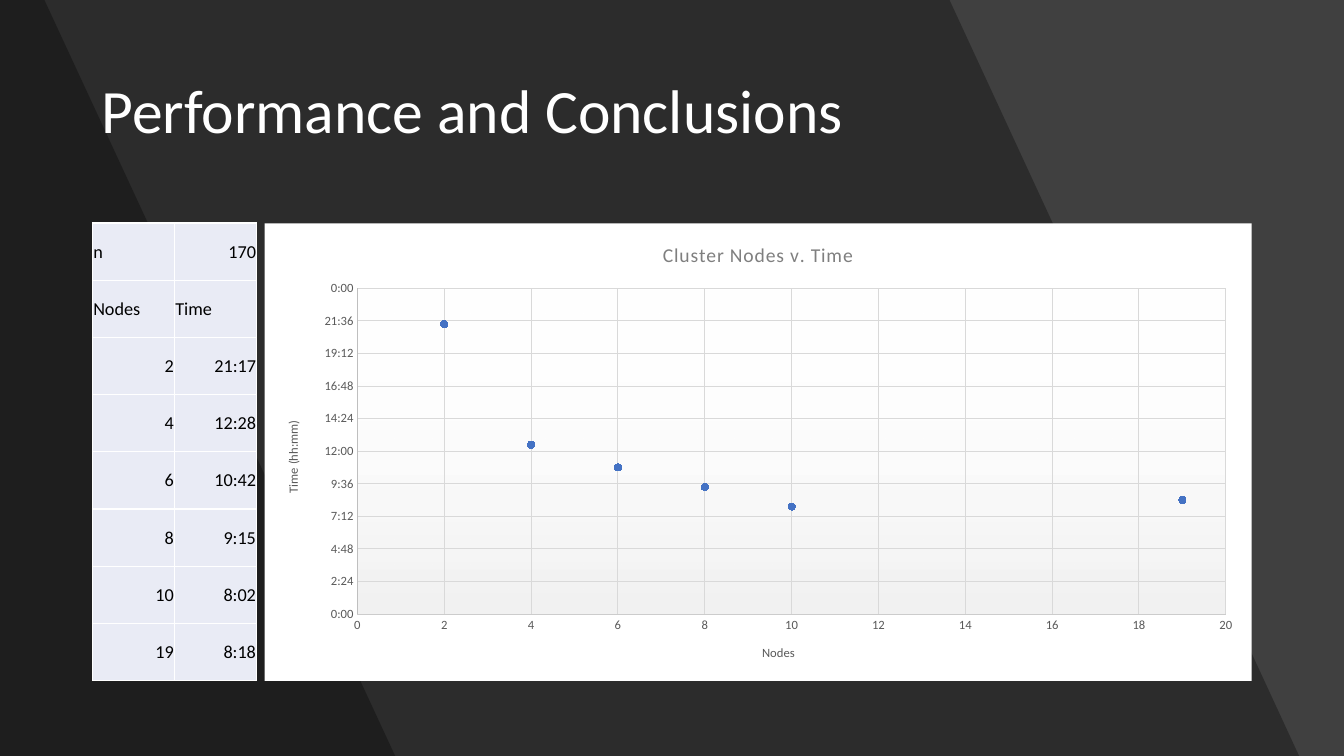
from dataclasses import dataclass

from lxml.etree import SubElement
from pptx import Presentation
from pptx.chart.axis import ValueAxis
from pptx.chart.chart import Chart
from pptx.chart.data import XyChartData
from pptx.dml.color import RGBColor
from pptx.dml.fill import FillFormat
from pptx.enum.chart import XL_CHART_TYPE as ChartType, XL_MARKER_STYLE as MarkerStyle
from pptx.enum.chart import XL_TICK_MARK as TickMark
from pptx.enum.text import MSO_ANCHOR as Anchor, PP_ALIGN as Align
from pptx.oxml import parse_xml
from pptx.oxml.ns import nsdecls, qn
from pptx.slide import Slide
from pptx.text.text import TextFrame
from pptx.util import Cm, Pt

FONT = "Calibri"
WHITE, BLACK, AXIS_GREY, GRID_GREY = "FFFFFF", "000000", "595959", "D9D9D9"
SLIDE_WIDTH, SLIDE_HEIGHT = 33.87, 19.05
CONTENT_TOP, CONTENT_HEIGHT = 5.62, 11.53


@dataclass(frozen=True)
class Band:
    """A dark panel from the left edge to a slanted right edge, in cm."""
    top_right: float
    bottom_right: float


@dataclass(frozen=True)
class Run:
    nodes: int
    time: str

    @property
    def day_fraction(self) -> float:
        hours, minutes = map(int, self.time.split(":"))
        return round((hours * 60 + minutes) / 1440, 2)


@dataclass(frozen=True)
class AxisStyle:
    title: str
    maximum: float
    step: float
    number_format: str
    line: str


BANDS = [Band(23.93, 32.74), Band(1.12, 9.96)]
RUNS = [Run(2, "21:17"), Run(4, "12:28"), Run(6, "10:42"),
        Run(8, "9:15"), Run(10, "8:02"), Run(19, "8:18")]
NODES_AXIS = AxisStyle("Nodes", 20, 2, "General", "CCCCCC")
TIME_AXIS = AxisStyle("Time (hh:mm)", 1, 0.1, "h:mm", "BFBFBF")


def rgb(color: str) -> RGBColor:
    return RGBColor.from_string(color)


def set_fill(fill: FillFormat, color: str) -> None:
    fill.solid()
    fill.fore_color.rgb = rgb(color)


def write_text(frame: TextFrame, text: str, *, size: float, color: str,
               alignment: Align | None = None, line_spacing: float | None = None,
               letter_spacing: float = 0) -> None:
    frame.text = text
    paragraph = frame.paragraphs[0]
    paragraph.alignment = alignment
    paragraph.line_spacing = line_spacing
    run = paragraph.runs[0]
    font = run.font
    font.name, font.size, font.bold = FONT, Pt(size), False
    font.color.rgb = rgb(color)
    if letter_spacing:
        run._r.get_or_add_rPr().set("spc", str(round(letter_spacing * 100)))


def add_band(slide: Slide, band: Band) -> None:
    builder = slide.shapes.build_freeform(0, 0)
    corners = [(band.top_right, 0), (band.bottom_right, SLIDE_HEIGHT), (0, SLIDE_HEIGHT)]
    builder.add_line_segments([(Cm(x), Cm(y)) for x, y in corners], close=True)
    shape = builder.convert_to_shape()
    shape.shadow.inherit = False
    shape.line.fill.background()
    set_fill(shape.fill, BLACK)
    color = shape.element.spPr.find(f".//{qn('a:srgbClr')}")
    SubElement(color, qn("a:alpha"), val="30000")


def add_title(slide: Slide, text: str) -> None:
    """Format the title placeholder and bring it in front of the bands."""
    title = slide.shapes.title
    title.left, title.top, title.width, title.height = Cm(2.31), Cm(1.02), Cm(29.23), Cm(3.68)
    frame = title.text_frame
    frame.vertical_anchor, frame.word_wrap = Anchor.MIDDLE, True
    write_text(frame, text, size=44, color=WHITE, alignment=Align.LEFT, line_spacing=0.9)
    slide.shapes.element.append(title.element)


def add_times_table(slide: Slide) -> None:
    rows = [("n", "170"), ("Nodes", "Time"), *((str(run.nodes), run.time) for run in RUNS)]
    table = slide.shapes.add_table(len(rows), 2, Cm(2.33), Cm(CONTENT_TOP),
                                   Cm(4.14), Cm(CONTENT_HEIGHT)).table
    table.first_row = table.horz_banding = False
    for row_index, row in enumerate(rows):
        for column_index, text in enumerate(row):
            cell = table.cell(row_index, column_index)
            cell.margin_left = cell.margin_right = cell.margin_top = Cm(0.02)
            cell.margin_bottom = 0
            cell.vertical_anchor = Anchor.MIDDLE
            write_text(cell.text_frame, text, size=13, color=BLACK,
                       alignment=Align.LEFT if text.isalpha() else Align.RIGHT)
            properties = cell._tc.get_or_add_tcPr()
            for side in ("lnL", "lnR", "lnT", "lnB"):
                properties.append(parse_xml(
                    f'<a:{side} {nsdecls("a")} w="12700"><a:solidFill>'
                    f'<a:srgbClr val="{WHITE}"/></a:solidFill></a:{side}>'))
            set_fill(cell.fill, "E9EBF5")


def format_axis(axis: ValueAxis, style: AxisStyle) -> None:
    axis.minimum_scale, axis.maximum_scale, axis.major_unit = 0, style.maximum, style.step
    axis.major_tick_mark = axis.minor_tick_mark = TickMark.NONE
    axis.has_major_gridlines = True
    for line, color in ((axis.format.line, style.line),
                        (axis.major_gridlines.format.line, GRID_GREY)):
        line.width = Pt(0.75)
        set_fill(line.fill, color)
    labels = axis.tick_labels
    labels.number_format, labels.number_format_is_linked = style.number_format, False
    labels.font.name, labels.font.size = FONT, Pt(9)
    labels.font.color.rgb = rgb(AXIS_GREY)
    write_text(axis.axis_title.text_frame, style.title, size=9, color=AXIS_GREY)


def format_backgrounds(chart: Chart) -> None:
    """Fix the plot area and give it a gradient on a white chart."""
    chart_space = chart.element
    chart_space.find(qn("c:chart")).addnext(parse_xml(
        f'<c:spPr {nsdecls("c", "a")}><a:solidFill><a:srgbClr val="{WHITE}"/></a:solidFill>'
        '<a:ln><a:noFill/></a:ln></c:spPr>'))
    plot_area = chart_space.find(f".//{qn('c:plotArea')}")
    plot_area.append(parse_xml(
        f'<c:spPr {nsdecls("c", "a")}><a:gradFill><a:gsLst>'
        f'<a:gs pos="0"><a:srgbClr val="{WHITE}"><a:alpha val="0"/></a:srgbClr></a:gs>'
        '<a:gs pos="100000"><a:srgbClr val="F2F2F2"/></a:gs>'
        '</a:gsLst><a:lin ang="5400000" scaled="0"/></a:gradFill></c:spPr>'))
    for layout in plot_area.findall(qn("c:layout")):
        plot_area.remove(layout)
    layout = parse_xml(
        f'<c:layout {nsdecls("c")}><c:manualLayout><c:layoutTarget val="inner"/>'
        '<c:xMode val="edge"/><c:yMode val="edge"/></c:manualLayout></c:layout>')
    for key, value in {"x": 0.094, "y": 0.142, "w": 0.88, "h": 0.712}.items():
        SubElement(layout[0], qn(f"c:{key}"), val=str(value))
    plot_area.insert(0, layout)


def add_times_chart(slide: Slide) -> None:
    data = XyChartData()
    times = data.add_series("Series 1")
    for run in RUNS:
        times.add_data_point(run.nodes, run.day_fraction)
    chart = slide.shapes.add_chart(ChartType.XY_SCATTER, Cm(6.67), Cm(CONTENT_TOP + 0.01),
                                   Cm(24.87), Cm(CONTENT_HEIGHT), data).chart
    chart.has_legend = False
    chart.font.name, chart.font.size = FONT, Pt(10)
    chart.has_title = True
    write_text(chart.chart_title.text_frame, "Cluster Nodes v. Time", size=14,
               color="7F7F7F", letter_spacing=0.5)
    format_axis(chart.category_axis, NODES_AXIS)
    format_axis(chart.value_axis, TIME_AXIS)
    body = chart.value_axis.axis_title.element.find(f".//{qn('a:bodyPr')}")
    body.set("rot", "-5400000")
    body.set("vert", "horz")

    plot = chart.plots[0]
    plot.vary_by_categories = False
    series = plot.series[0]
    series.smooth = False
    series.format.line.fill.background()
    series.marker.style, series.marker.size = MarkerStyle.CIRCLE, 5
    for fill in (series.marker.format.fill, series.marker.format.line.fill):
        set_fill(fill, "4472C4")
    format_backgrounds(chart)


def main() -> None:
    presentation = Presentation()
    presentation.slide_width, presentation.slide_height = Cm(SLIDE_WIDTH), Cm(SLIDE_HEIGHT)
    slide = presentation.slides.add_slide(presentation.slide_layouts.get_by_name("Title Only"))
    set_fill(slide.background.fill, "404040")
    for band in BANDS:
        add_band(slide, band)
    add_times_table(slide)
    add_times_chart(slide)
    add_title(slide, "Performance and Conclusions")
    presentation.save("out.pptx")


if __name__ == "__main__":
    main()
